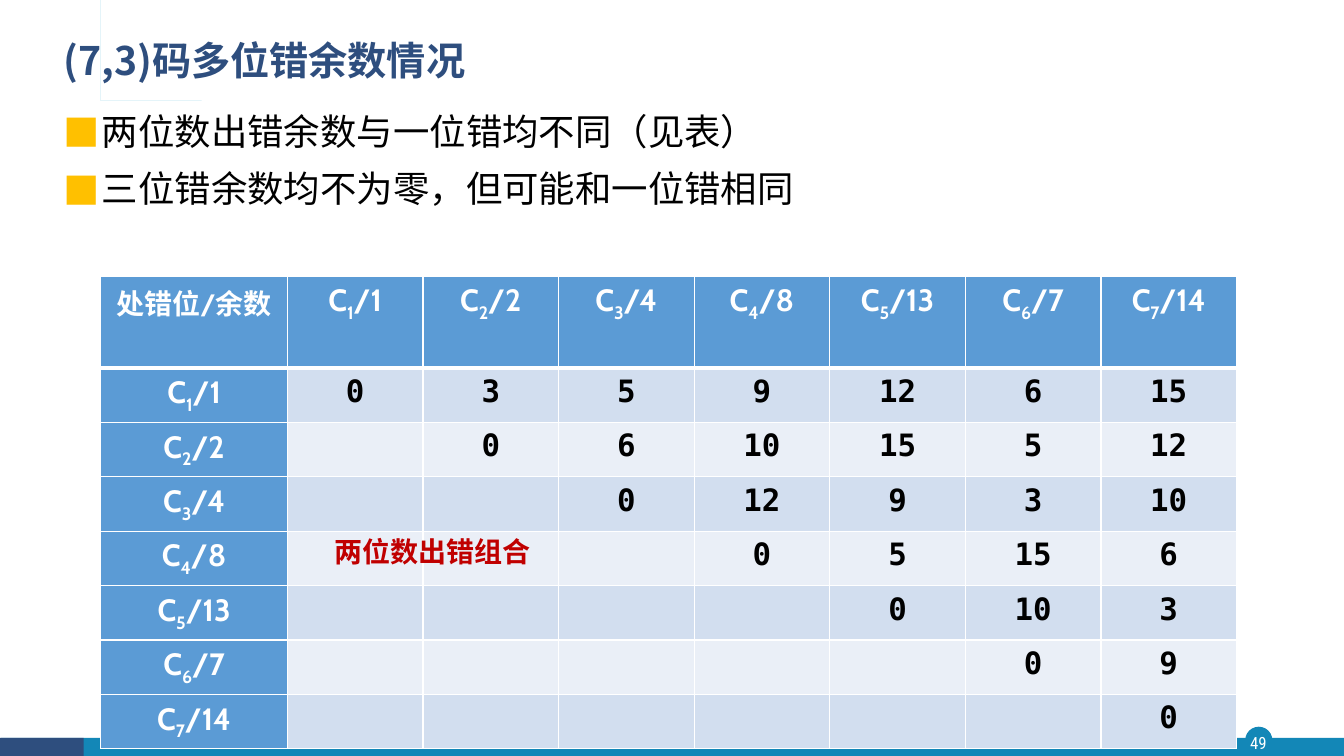
from dataclasses import dataclass

from lxml.etree import SubElement
from pptx import Presentation
from pptx.dml.color import RGBColor as Color
from pptx.enum.shapes import MSO_SHAPE as Shape
from pptx.enum.text import MSO_ANCHOR as Anchor, MSO_AUTO_SIZE as AutoSize, PP_ALIGN as Align
from pptx.oxml.ns import qn
from pptx.util import Inches, Pt

TITLE = "(7,3)码多位错余数情况"
BULLETS = ["两位数出错余数与一位错均不同（见表）", "三位错余数均不为零，但可能和一位错相同"]
CORNER = "处错位/余数"
REMAINDERS = [1, 2, 4, 8, 13, 7, 14]
TABLE_NOTE = "两位数出错组合"
PAGE_NUMBER = "49"
ORNAMENT = [
    (0.54, 0.39), (0.54, 0.85), (1.87, 0.85), (1.87, 0.87), (0.52, 0.87), (0.52, 0.41),
    (0.47, 0.41), (0.47, 0.87), (0.36, 0.87), (0.36, 0.39), (0.39, 0.39), (0.39, 0.84),
    (0.44, 0.84), (0.44, 0.39),
]


@dataclass(frozen=True)
class Theme:
    """Colours, fonts and type sizes of the slide."""
    navy: str = "2E4E7E"
    teal: str = "1387B7"
    sky: str = "28A9D6"
    amber: str = "FFC000"
    red: str = "C00000"
    black: str = "000000"
    white: str = "FFFFFF"
    header: str = "5B9BD5"
    bands: tuple = ("D2DEEF", "EAEFF7")
    chinese: str = "Noto Sans CJK SC"
    label: str = "Cabin"
    number: str = "DejaVu Sans Mono"
    page: str = "Roboto Condensed"
    title_size: int = 28
    body_size: int = 26
    cell_size: int = 22
    note_size: int = 20
    page_size: int = 12


THEME = Theme()


def place(shape, left, top, width, height):
    """Move and size a shape, in inches."""
    shape.left, shape.top = Inches(left), Inches(top)
    shape.width, shape.height = Inches(width), Inches(height)


def style(paragraph, font_name, size, color, bold=False, align=Align.LEFT):
    """Format a whole paragraph, with one typeface for its Chinese text."""
    paragraph.alignment = align
    font = paragraph.font
    font.name, font.size, font.bold = font_name, Pt(size), bold
    font.color.rgb = Color.from_string(color)
    properties = paragraph._p.get_or_add_pPr().find(qn("a:defRPr"))
    SubElement(properties, qn("a:ea"), typeface=THEME.chinese)


def paint(shape, color):
    """Give a shape a flat fill with no outline or shadow."""
    shape.shadow.inherit = False
    shape.fill.solid()
    shape.fill.fore_color.rgb = Color.from_string(color)
    shape.line.fill.background()


def add_decoration(slide):
    """Draw the footer, the page number and the title ornament."""
    for kind, box, color in (
        (Shape.OVAL, (12.35, 7.21, 0.27, 0.27), THEME.teal),
        (Shape.RECTANGLE, (0.01, 7.32, 13.32, 0.19), THEME.teal),
        (Shape.RECTANGLE, (0, 7.32, 0.83, 0.19), THEME.navy),
    ):
        shape = slide.shapes.add_shape(kind, *map(Inches, box))
        paint(shape, color)
    page_box = slide.shapes.add_textbox(*map(Inches, (12.32, 7.21, 0.32, 0.31)))
    frame = page_box.text_frame
    frame.margin_left = frame.margin_right = frame.margin_top = frame.margin_bottom = 0
    frame.vertical_anchor, frame.word_wrap = Anchor.MIDDLE, True
    frame.text = PAGE_NUMBER
    style(frame.paragraphs[0], THEME.page, THEME.page_size, THEME.white, align=Align.CENTER)
    builder = slide.shapes.build_freeform(*ORNAMENT[0], scale=Inches(1))
    builder.add_line_segments(ORNAMENT[1:], close=True)
    paint(builder.convert_to_shape(), THEME.sky)


def fill_placeholders(slide):
    """Write the title and the bullet list."""
    title, body = slide.shapes.title, slide.placeholders[1]
    place(title, 0.53, 0.28, 11.5, 0.68)
    place(body, 0.53, 1.03, 11.5, 1.44)
    title.text_frame.text = TITLE
    title.text_frame.vertical_anchor = Anchor.MIDDLE
    heading = title.text_frame.paragraphs[0]
    heading.line_spacing = 0.9
    style(heading, THEME.chinese, THEME.title_size, THEME.navy, bold=True)
    body.text_frame.text = "\n".join(BULLETS)
    for shape in (title, body):
        shape.text_frame.auto_size = AutoSize.NONE
    for index, paragraph in enumerate(body.text_frame.paragraphs):
        properties = paragraph._p.get_or_add_pPr()
        properties.set("marL", str(Inches(0.38)))
        properties.set("indent", str(-Inches(0.38)))
        SubElement(SubElement(properties, qn("a:buClr")), qn("a:srgbClr"), val=THEME.amber)
        SubElement(properties, qn("a:buFont"), typeface=THEME.chinese)
        SubElement(properties, qn("a:buChar"), char="■")
        paragraph.line_spacing = 1.0
        paragraph.space_before = Pt(10 if index else 0)
        style(paragraph, THEME.chinese, THEME.body_size, THEME.black, align=Align.JUSTIFY)


def format_cell(cell, color, bottom_width):
    """Set the margins, white borders and fill of a cell."""
    cell.margin_left = cell.margin_right = Inches(0.12)
    cell.margin_top = cell.margin_bottom = Inches(0.06)
    properties = cell._tc.get_or_add_tcPr()
    for side in ("L", "R", "T", "B"):
        width = bottom_width if side == "B" else 1
        line = SubElement(properties, qn(f"a:ln{side}"), w=str(Pt(width)))
        SubElement(SubElement(line, qn("a:solidFill")), qn("a:srgbClr"), val=THEME.white)
    cell.fill.solid()
    cell.fill.fore_color.rgb = Color.from_string(color)


def write_label(paragraph, position):
    """Write a code position with its subscript and remainder."""
    for text, baseline in (("C", 0), (str(position), -25000), (f"/{REMAINDERS[position - 1]}", 0)):
        run = paragraph.add_run()
        run.text = text
        if baseline:
            run._r.get_or_add_rPr().set("baseline", str(baseline))


def add_error_table(slide):
    """Tabulate the XOR of the remainders of each pair of positions."""
    count = len(REMAINDERS) + 1
    widths = [1.85] + [1.345] * (count - 1)
    heights = [0.91] + [0.54] * (count - 1)
    box = (1, 2.74, sum(widths), sum(heights))
    table = slide.shapes.add_table(count, count, *map(Inches, box)).table
    for column, width in zip(table.columns, widths):
        column.width = Inches(width)
    for row, height in zip(table.rows, heights):
        row.height = Inches(height)
    for row in range(count):
        for column in range(count):
            cell = table.cell(row, column)
            is_label = row == 0 or column == 0
            color = THEME.header if is_label else THEME.bands[(row - 1) % 2]
            format_cell(cell, color, 1 if row else 3)
            paragraph = cell.text_frame.paragraphs[0]
            font_name, size, ink = THEME.label, THEME.cell_size, THEME.white
            if row == column == 0:
                paragraph.text, size = CORNER, THEME.note_size
            elif is_label:
                write_label(paragraph, row or column)
            else:
                font_name, ink = THEME.number, THEME.black
                if column >= row:
                    paragraph.text = str(REMAINDERS[row - 1] ^ REMAINDERS[column - 1])
            style(paragraph, font_name, size, ink, bold=True, align=Align.CENTER)


def add_table_note(slide):
    """Label the empty half of the table."""
    note = slide.shapes.add_textbox(*map(Inches, (3.22, 5.25, 2.17, 0.44)))
    note.text_frame.word_wrap = False
    note.text_frame.auto_size = AutoSize.SHAPE_TO_FIT_TEXT
    note.text_frame.text = TABLE_NOTE
    style(note.text_frame.paragraphs[0], THEME.label, THEME.note_size, THEME.red, bold=True)


def main():
    """Build and save the slide."""
    presentation = Presentation()
    presentation.slide_width, presentation.slide_height = Inches(13.33), Inches(7.5)
    slide = presentation.slides.add_slide(presentation.slide_layouts[1])
    add_decoration(slide)
    fill_placeholders(slide)
    add_error_table(slide)
    add_table_note(slide)
    presentation.save("out.pptx")


if __name__ == "__main__":
    main()
